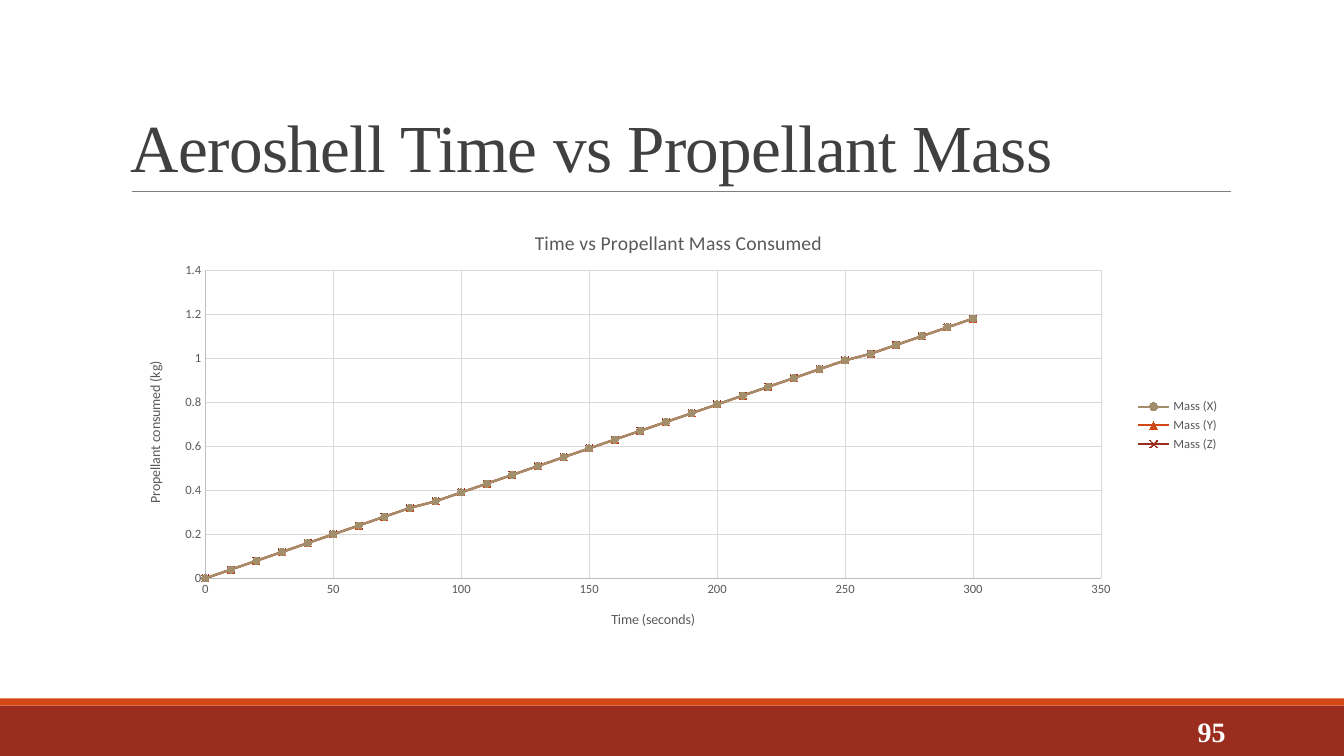
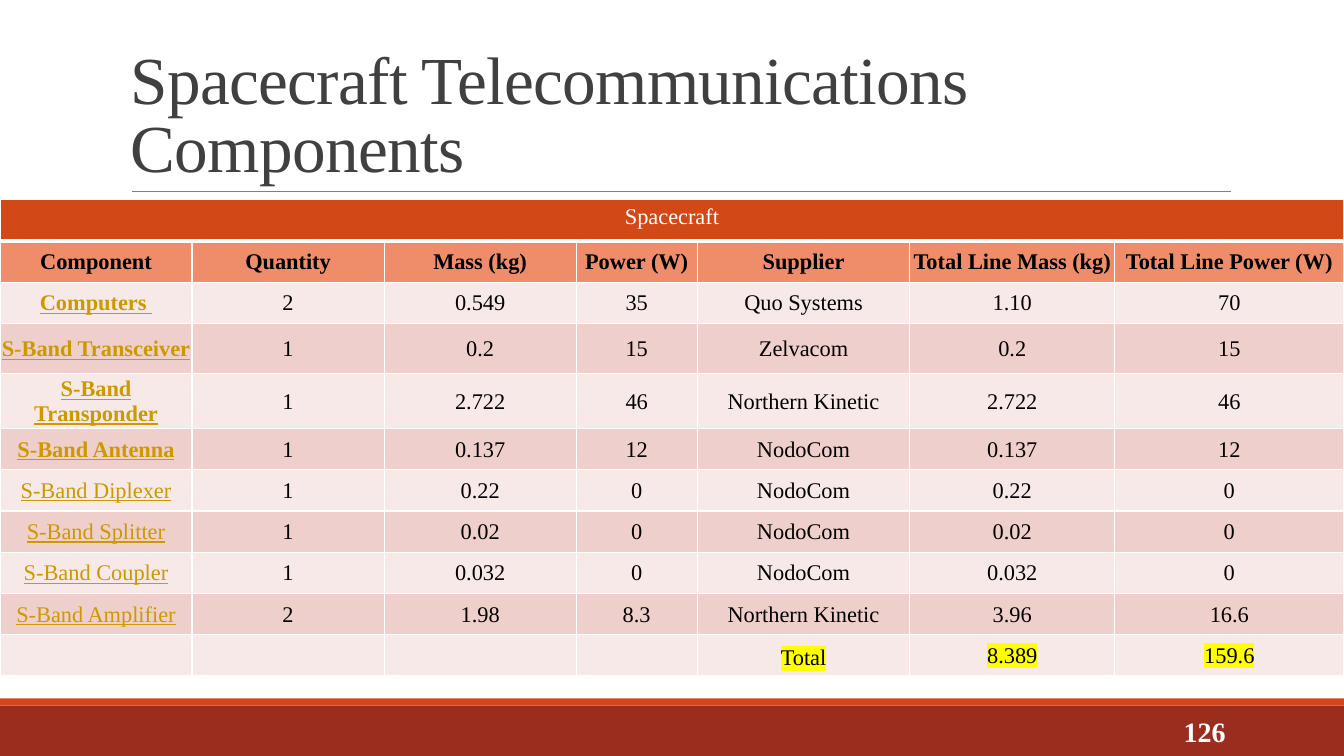
from lxml.etree import SubElement
from pptx import Presentation
from pptx.chart.data import XyChartData
from pptx.dml.color import RGBColor
from pptx.enum.chart import XL_CHART_TYPE, XL_LEGEND_POSITION, XL_MARKER_STYLE, XL_TICK_MARK
from pptx.enum.shapes import MSO_CONNECTOR, MSO_SHAPE
from pptx.enum.text import MSO_ANCHOR, PP_ALIGN
from pptx.oxml.ns import qn
from pptx.util import Cm, Pt

WIDTH, HEIGHT = 33.87, 19.05


def color(code):
    return RGBColor.from_string(code)


def place(parent, spot, **sizes):
    layout = parent.find(qn("c:layout"))
    if layout is None:
        layout = SubElement(parent, qn("c:layout"))
        parent.insert(spot, layout)
    manual = SubElement(layout, qn("c:manualLayout"))
    if "w" in sizes:
        SubElement(manual, qn("c:layoutTarget")).set("val", "inner")
    for side in "xy":
        SubElement(manual, qn(f"c:{side}Mode")).set("val", "edge")
    for name, size in sizes.items():
        SubElement(manual, qn(f"c:{name}")).set("val", str(size))


class Deck:
    serif, sans = "Times New Roman", "Calibri"
    rust, orange, tan = "9B2D1F", "D34817", "A28E6A"
    ink, gray, gold = "404040", "595959", "CC9900"
    black, white, yellow = "000000", "FFFFFF", "FFFF00"
    salmon, pale, rose = "EF8C6A", "F7E9E8", "EFCFCC"

    def __init__(self):
        self.show = Presentation()
        self.show.slide_width, self.show.slide_height = Cm(WIDTH), Cm(HEIGHT)
        self.slide = None

    def start(self, title, page):
        self.slide = self.show.slides.add_slide(self.show.slide_layouts[6])
        self.band(17.78, 1.27, self.rust)
        self.band(17.6, 0.18, self.orange)
        self.rule(3.33, 31.01, 4.83)
        head = self.text(title, (3.05, 0.79, 27.94, 4.04), 48, self.ink, MSO_ANCHOR.BOTTOM)
        head.line_spacing = 0.85
        head.runs[0].font._element.set("spc", "-50")
        foot = self.text(page, (27.51, 17.93, 3.63, 1.02), 20, self.white, MSO_ANCHOR.MIDDLE, True)
        foot.alignment = PP_ALIGN.RIGHT

    def band(self, top, height, fill):
        band = self.slide.shapes.add_shape(MSO_SHAPE.RECTANGLE, 0, Cm(top), Cm(WIDTH), Cm(height))
        band.shadow.inherit = False
        band.fill.solid()
        band.fill.fore_color.rgb = color(fill)
        band.line.fill.background()

    def rule(self, left, right, top):
        rule = self.slide.shapes.add_connector(
            MSO_CONNECTOR.STRAIGHT, Cm(left), Cm(top), Cm(right), Cm(top))
        rule.line.color.rgb = color("808080")
        rule.line.width = Pt(0.5)
        SubElement(rule._element.spPr, qn("a:effectLst"))

    def style(self, font, size, ink, bold=False, face=serif):
        font.name, font.size, font.bold = face, Pt(size), bold
        font.color.rgb = color(ink)

    def text(self, words, box, size, ink, anchor, bold=False):
        frame = self.slide.shapes.add_textbox(*map(Cm, box)).text_frame
        frame.word_wrap = True
        frame.vertical_anchor = anchor
        frame.text = words
        para = frame.paragraphs[0]
        self.style(para.runs[0].font, size, ink, bold)
        return para

    def label(self, owner, words, size, x, y):
        title = owner.chart_title if hasattr(owner, "chart_title") else owner.axis_title
        title.text_frame.text = words
        self.style(title.text_frame.paragraphs[0].runs[0].font, size, self.gray, face=self.sans)
        place(title._element, 1, x=x, y=y)

    def axis(self, axis, top, step):
        axis.minimum_scale, axis.maximum_scale, axis.major_unit = 0, top, step
        axis.major_tick_mark = axis.minor_tick_mark = XL_TICK_MARK.NONE
        axis.has_major_gridlines = True
        self.style(axis.tick_labels.font, 9, self.gray, face=self.sans)
        axis.tick_labels.number_format = "General"
        axis.tick_labels.number_format_is_linked = False
        for line, ink in ((axis.format.line, "BFBFBF"), (axis.major_gridlines.format.line, "D9D9D9")):
            line.color.rgb = color(ink)
            line.width = Pt(0.75)

    def chart(self, box, series, points):
        data = XyChartData()
        for name, *_ in series:
            group = data.add_series(name)
            for x, y in points:
                group.add_data_point(x, y)
        chart = self.slide.shapes.add_chart(
            XL_CHART_TYPE.XY_SCATTER_LINES, *map(Cm, box), data).chart
        self.style(chart.font, 10, self.black, face=self.sans)
        chart.plots[0].vary_by_categories = False
        for line, (_, ink, mark) in zip(chart.plots[0].series, series):
            line.smooth = False
            line.format.line.color.rgb = color(ink)
            line.format.line.width = Pt(1.5)
            line.marker.style, line.marker.size = mark, 5
            line.marker.format.line.color.rgb = color(ink)
            line.marker.format.fill.solid()
            line.marker.format.fill.fore_color.rgb = color(ink)
        self.axis(chart.category_axis, 350, 50)
        self.axis(chart.value_axis, 1.4, 0.2)
        self.label(chart, "Time vs Propellant Mass Consumed", 14, 0.37, 0.05)
        self.label(chart.category_axis, "Time (seconds)", 10, 0.44, 0.91)
        self.label(chart.value_axis, "Propellant consumed (kg)", 10, 0.02, 0.35)
        chart.has_legend = True
        chart.legend.position = XL_LEGEND_POSITION.RIGHT
        chart.legend.include_in_layout = False
        self.style(chart.legend.font, 9, self.gray, face=self.sans)
        place(chart._chartSpace.chart.plotArea, 0, x=0.076, y=0.15, w=0.808, h=0.695)

    def border(self, cell, base):
        for side in "LRTB":
            width = base if side == "B" else 1
            line = SubElement(cell._tc.get_or_add_tcPr(), qn(f"a:ln{side}"), w=str(Pt(width)))
            fill = SubElement(line, qn("a:solidFill"))
            SubElement(fill, qn("a:srgbClr"), val=self.white)

    def cell(self, cell, words, fill, ink, bold=False, base=1):
        self.border(cell, base)
        cell.fill.solid()
        cell.fill.fore_color.rgb = color(fill)
        if not words:
            return None
        cell.text = words
        para = cell.text_frame.paragraphs[0]
        para.alignment = PP_ALIGN.CENTER
        self.style(para.runs[0].font, 16, ink, bold)
        return para.runs[0].font

    def tight(self, cell):
        cell.vertical_anchor = MSO_ANCHOR.MIDDLE
        cell.margin_left = cell.margin_right = cell.margin_top = Cm(0.02)
        cell.margin_bottom = 0

    def mark(self, font):
        light = SubElement(font._element, qn("a:highlight"))
        SubElement(light, qn("a:srgbClr"), val=self.yellow)
        font._element.find(qn("a:solidFill")).addnext(light)

    def table(self, top, widths, heights, title, rows):
        box = 0, top, sum(widths), sum(heights)
        table = self.slide.shapes.add_table(len(heights), len(widths), *map(Cm, box)).table
        table.first_row = table.horz_banding = False
        for col, width in zip(table.columns, widths):
            col.width = Cm(width)
        for row, height in zip(table.rows, heights):
            row.height = Cm(height)
        table.cell(0, 0).merge(table.cell(0, len(widths) - 1))
        for col in range(len(widths)):
            self.cell(table.cell(0, col), "" if col else title, self.orange, self.white, base=3)
        last = len(rows)
        for r, row in enumerate(rows, 1):
            fill = self.salmon if r == 1 else (self.rose if r % 2 else self.pale)
            for c, words in enumerate(row):
                cell = table.cell(r, c)
                item = c == 0 and 1 < r < last
                bold = r == 1 or (item and r < 6)
                font = self.cell(cell, words, fill, self.gold if item else self.black, bold)
                if not font:
                    continue
                self.tight(cell)
                if item:
                    font.underline = True
                if r == last:
                    self.mark(font)
        total = table.cell(last, 4)
        total.vertical_anchor = MSO_ANCHOR.BOTTOM
        total.margin_bottom = Cm(0.13)


PARTS = [
    ("Component", "Quantity", "Mass (kg)", "Power (W)", "Supplier",
     "Total Line Mass (kg)", "Total Line Power (W)"),
    ("Computers ", "2", "0.549", "35", "Quo Systems", "1.10", "70"),
    ("S-Band Transceiver", "1", "0.2", "15", "Zelvacom", "0.2", "15"),
    ("S-Band Transponder", "1", "2.722", "46", "Northern Kinetic", "2.722", "46"),
    ("S-Band Antenna", "1", "0.137", "12", "NodoCom", "0.137", "12"),
    ("S-Band Diplexer", "1", "0.22", "0", "NodoCom", "0.22", "0"),
    ("S-Band Splitter", "1", "0.02", "0", "NodoCom", "0.02", "0"),
    ("S-Band Coupler", "1", "0.032", "0", "NodoCom", "0.032", "0"),
    ("S-Band Amplifier", "2", "1.98", "8.3", "Northern Kinetic", "3.96", "16.6"),
    ("", "", "", "", "Total", "8.389", "159.6"),
]


def main():
    deck = Deck()
    deck.start("Aeroshell Time vs Propellant Mass", "95")
    series = [
        ("Mass (X)", deck.tan, XL_MARKER_STYLE.CIRCLE),
        ("Mass (Y)", deck.orange, XL_MARKER_STYLE.TRIANGLE),
        ("Mass (Z)", deck.rust, XL_MARKER_STYLE.X),
    ]
    rate = 1.1826 / 300
    points = [(time, round(rate * time, 2)) for time in range(0, 301, 10)]
    deck.chart((3.05, 5.13, 27.94, 11.18), series, points)

    deck.start("Spacecraft Telecommunications Components", "126")
    widths = [4.84] * 3 + [3.05, 5.36, 5.16, 5.78]
    heights = [1.04] * 3 + [1.27] + [1.04] * 7
    deck.table(5.03, widths, heights, "Spacecraft", PARTS)
    deck.show.save("out.pptx")


if __name__ == "__main__":
    main()
